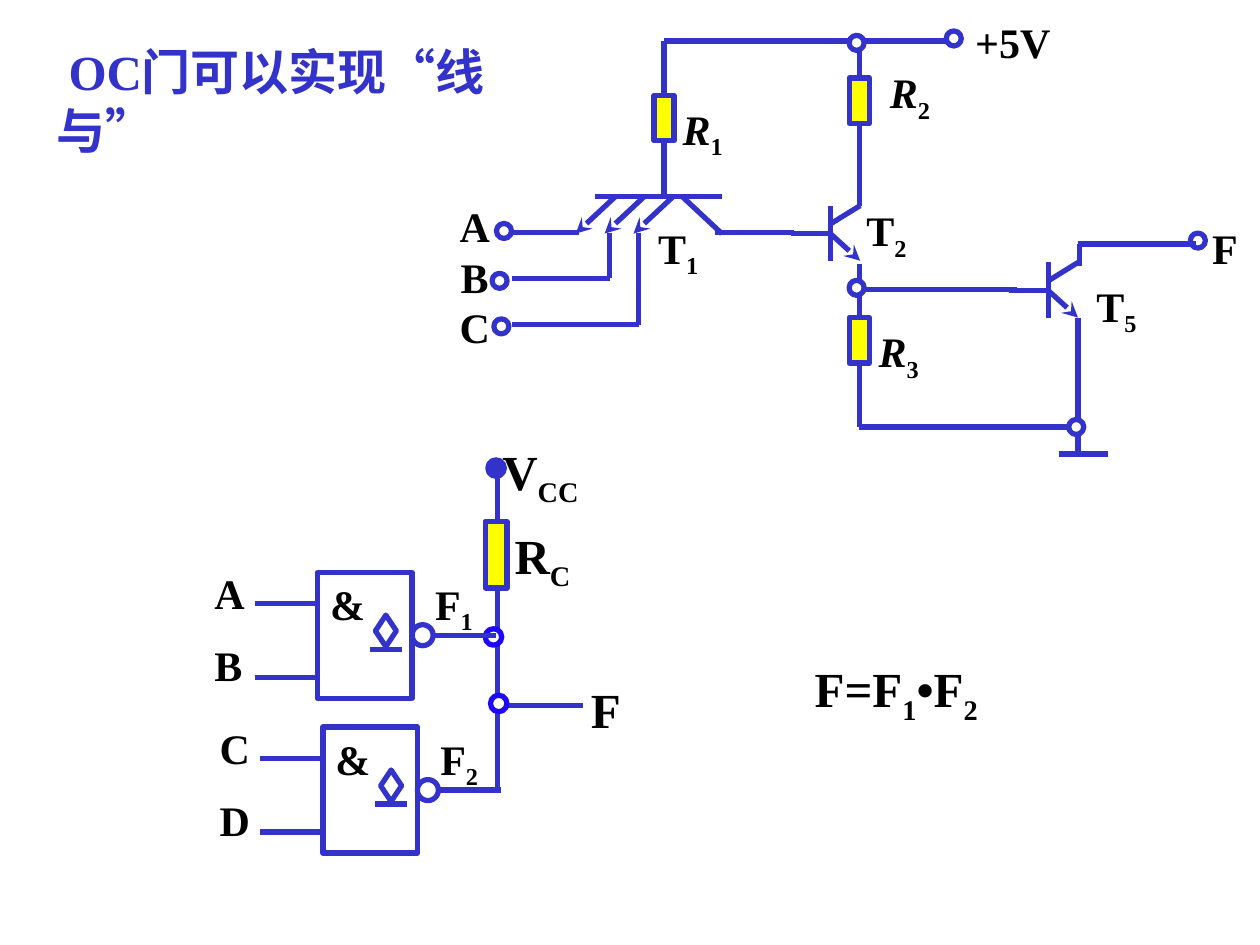
from dataclasses import dataclass

from lxml import etree
from pptx import Presentation
from pptx import util as u
from pptx.dml.color import RGBColor
from pptx.enum import shapes, text
from pptx.oxml.ns import qn


@dataclass(frozen=True)
class Theme:
    font: str = "Times New Roman"
    ink: str = "000000"
    wire: str = "3333CC"
    junction: str = "1F08F8"
    resistor: str = "FFFF00"
    paper: str = "FFFFFF"
    large: float = 28
    medium: float = 24
    stroke: float = 3
    terminal: float = 8.6
    node: float = 9.4


def write(frame, content, *, font, size, color, italic=False, centered=False, gap=0):
    """Fill a frame: newlines part paragraphs, and bars enclose subscripts."""
    for index, line in enumerate(content.split("\n")):
        paragraph = frame.paragraphs[0] if index == 0 else frame.add_paragraph()
        paragraph.alignment = text.PP_ALIGN.CENTER if centered else text.PP_ALIGN.LEFT
        if index and gap:
            paragraph.space_before = u.Pt(gap)
        for position, part in enumerate(line.split("|")):
            if not part:
                continue
            subscript = position % 2 == 1
            run = paragraph.add_run()
            run.text = part
            run.font.name = font
            run.font.size = u.Pt(size)
            run.font.bold = True
            run.font.italic = italic and not subscript
            run.font.color.rgb = RGBColor.from_string(color)
            if subscript:
                run._r.get_or_add_rPr().set("baseline", "-25000")


class Schematic:
    def __init__(self, slide, theme):
        self.slide = slide
        self.theme = theme
        self.canvas = slide.shapes

    def start_group(self):
        self.canvas = self.slide.shapes.add_group_shape().shapes

    def outline(self, shape, color):
        shape.line.color.rgb = RGBColor.from_string(color)
        shape.line.width = u.Pt(self.theme.stroke)

    def title(self, content, left, top, width, height):
        title = self.slide.shapes.title
        title.left, title.top, title.width, title.height = map(u.Pt, (left, top, width, height))
        frame = title.text_frame
        frame.word_wrap = True
        frame.auto_size = text.MSO_AUTO_SIZE.NONE
        frame.vertical_anchor = text.MSO_ANCHOR.MIDDLE
        write(frame, content, font=self.theme.font, size=self.theme.large, color=self.theme.wire)

    def label(self, content, left, top, width, height=36, *, size=None, italic=False,
              centered=False, wrap=True, border=False, gap=0):
        box = self.canvas.add_textbox(*map(u.Pt, (left, top, width, height)))
        frame = box.text_frame
        frame.word_wrap = wrap
        frame.auto_size = text.MSO_AUTO_SIZE.SHAPE_TO_FIT_TEXT
        if centered:
            frame.vertical_anchor = text.MSO_ANCHOR.MIDDLE
        if border:
            self.outline(box, self.theme.paper)
        write(frame, content, font=self.theme.font, size=size or self.theme.medium,
              color=self.theme.ink, italic=italic, centered=centered, gap=gap)

    def part_label(self, content, left, top, width=38, height=36, **style):
        self.label(content, left, top, width, height, centered=True, wrap=False, **style)

    def shape(self, kind, left, top, width, height, fill=None, line=None):
        shape = self.canvas.add_shape(kind, *map(u.Pt, (left, top, width, height)))
        shape.shadow.inherit = False
        if fill:
            shape.fill.solid()
            shape.fill.fore_color.rgb = RGBColor.from_string(fill)
        else:
            shape.fill.background()
        self.outline(shape, line or self.theme.wire)

    def circle(self, x, y, diameter, fill=None, line=None):
        """Draw a circle about its centre."""
        self.shape(shapes.MSO_SHAPE.OVAL, x - diameter / 2, y - diameter / 2,
                   diameter, diameter, fill, line)

    def wire(self, x1, y1, x2, y2, arrow=False):
        wire = self.canvas.add_connector(shapes.MSO_CONNECTOR.STRAIGHT,
                                         *map(u.Pt, (x1, y1, x2, y2)))
        self.outline(wire, self.theme.wire)
        if arrow:
            etree.SubElement(wire.line._get_or_add_ln(), qn("a:tailEnd"), type="stealth")
        etree.SubElement(wire._element.spPr, qn("a:effectLst"))

    def resistor(self, x, top, width=11.5, height=26):
        self.shape(shapes.MSO_SHAPE.RECTANGLE, x - width / 2, top, width, height,
                   self.theme.resistor)

    def transistor(self, x, top):
        self.wire(x, top, x, top + 31.5)
        self.wire(x, top + 16, x + 17, top + 31.5, arrow=True)
        self.wire(x, top + 10.5, x + 17, top)
        self.wire(x - 22.5, top + 16, x, top + 16)

    def multi_emitter_transistor(self, left, top):
        right, bottom = left + 72.5, top + 21
        self.wire(left, top, right, top)
        for emitter in range(3):
            x = left + 11.5 + 16.5 * emitter
            self.wire(x, top, x - 22.5, bottom, arrow=True)
        self.wire(right - 22.5, top, right, bottom)

    def open_collector_gate(self, x, y, inputs, output):
        self.shape(shapes.MSO_SHAPE.RECTANGLE, x, y, 54, 72)
        self.label("&", x, y, 34.5, wrap=False)
        self.shape(shapes.MSO_SHAPE.DIAMOND, x + 33, y + 24.5, 12, 18)
        self.wire(x + 30, y + 44, x + 48, y + 44)
        self.circle(x + 60, y + 36, 12)
        self.wire(x + 66, y + 36, x + 102, y + 36)
        for offset in (18, 60):
            self.wire(x - 36, y + offset, x, y + offset)
        self.label(inputs, x - 66, y - 6, 42, 80, gap=12)
        self.label(output, x + 60, y, 51)


def draw_wired_and(schematic):
    theme = schematic.theme
    bus = 284.5
    schematic.start_group()
    schematic.wire(bus, 270, bus, 452)
    schematic.resistor(bus - 1, 298, 12.5, 38)
    schematic.label("V|CC|", 280, 248.5, 76.5, 41, size=theme.large)
    schematic.circle(283.5, 267.5, theme.node, theme.wire)
    schematic.circle(282, 364, theme.node, theme.paper, theme.junction)
    schematic.label("R|C|", 287, 296.5, 60, 41, size=theme.large)
    schematic.wire(283, 403, 333, 403)
    schematic.circle(285, 402, theme.node, theme.paper, theme.junction)
    schematic.label("F", 330.5, 385, 49, 41, size=theme.large)
    schematic.open_collector_gate(181.5, 327, "A\nB", "F|1|")
    schematic.open_collector_gate(184.5, 415.5, "C\nD", "F|2|")


def draw_gate_circuit(schematic):
    theme = schematic.theme
    supply, input_base, middle, ground = 23.5, 133, 165.5, 244
    first, second, third = 379.5, 491, 616
    schematic.start_group()
    schematic.transistor(474.5, 117.5)
    schematic.multi_emitter_transistor(340, 112.5)
    for x, top in ((first, 54.5), (second, 181.5), (second, 44.5)):
        schematic.resistor(x, top)
    for ends in (
        (first, 80.5, first, 112.5), (first, supply, first, 54.5),
        (first, supply, 542, supply), (408.5, input_base, 453.5, input_base),
        (second, 117.5, second, 70.5), (second, supply, second, 44.5),
        (second, 151, second, 181.5), (second, middle, 581, middle),
        (second, 207.5, second, ground), (second, ground, 615, ground),
        (292.5, input_base, 331, input_base),
        (348.5, input_base, 348.5, 159), (292.5, 159, 348.5, 159),
        (365, input_base, 365, 185.5), (365, 185.5, 292.5, 185.5),
    ):
        schematic.wire(*ends)
    schematic.part_label("+5V", 550, 6, 57.5, border=True)
    schematic.part_label("A\nB\nC", 255, 111, 32.5, 94, border=True)
    schematic.part_label("T|1|", 368.5, 125.5)
    schematic.part_label("R|1|", 382.5, 57.5, italic=True)
    schematic.part_label("R|2|", 501, 36.5, italic=True)
    schematic.part_label("T|2|", 487.5, 115.5)
    schematic.part_label("R|3|", 494.5, 184.5, italic=True)
    for x, y in ((288, 132), (285.5, 160.5), (286.5, 186.5), (545, 22)):
        schematic.circle(x, y, theme.terminal)
    for x, y in ((489.5, 164.5), (489.5, 24.5)):
        schematic.circle(x, y, theme.terminal, theme.paper)
    schematic.transistor(599, 150)
    schematic.wire(third, 181.5, third, 260)
    schematic.wire(605, 259.5, 633, 259.5)
    schematic.part_label("T|5|", 619, 158.5, border=True)
    schematic.wire(third, 139.5, 683.5, 139.5)
    schematic.part_label("F", 685.5, 123.5, 28.5, border=True)
    schematic.circle(684.5, 137.5, theme.terminal)
    schematic.circle(615, ground, theme.terminal, theme.paper)
    schematic.wire(617, 152, 617, 139.5)


def main():
    presentation = Presentation()
    presentation.slide_width, presentation.slide_height = u.Pt(720), u.Pt(540)
    slide = presentation.slides.add_slide(presentation.slide_layouts[5])
    schematic = Schematic(slide, Theme())
    schematic.title(" OC门可以实现“线与”", 25, 34.5, 304.5, 45.5)
    schematic.label("F=F|1|•F|2|", 458.5, 373, 124, 41, size=schematic.theme.large, border=True)
    draw_wired_and(schematic)
    draw_gate_circuit(schematic)
    presentation.save("out.pptx")


if __name__ == "__main__":
    main()
